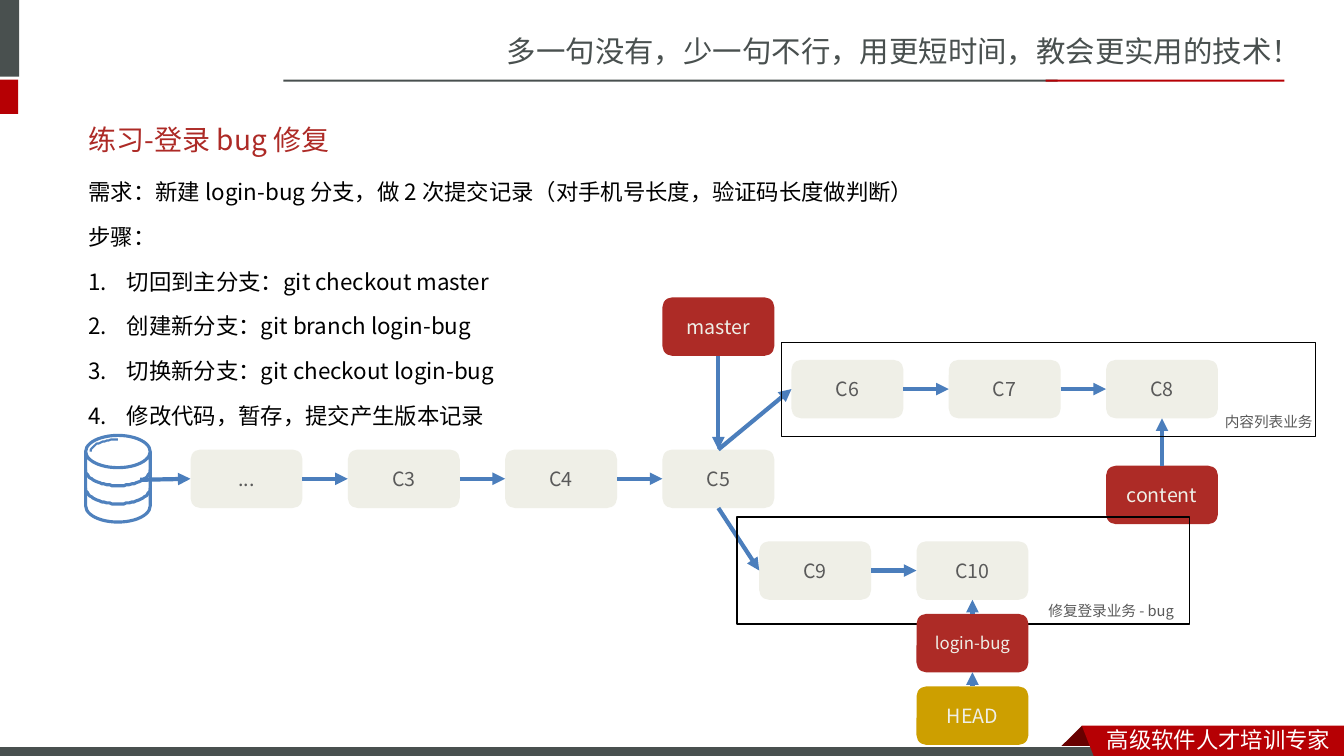
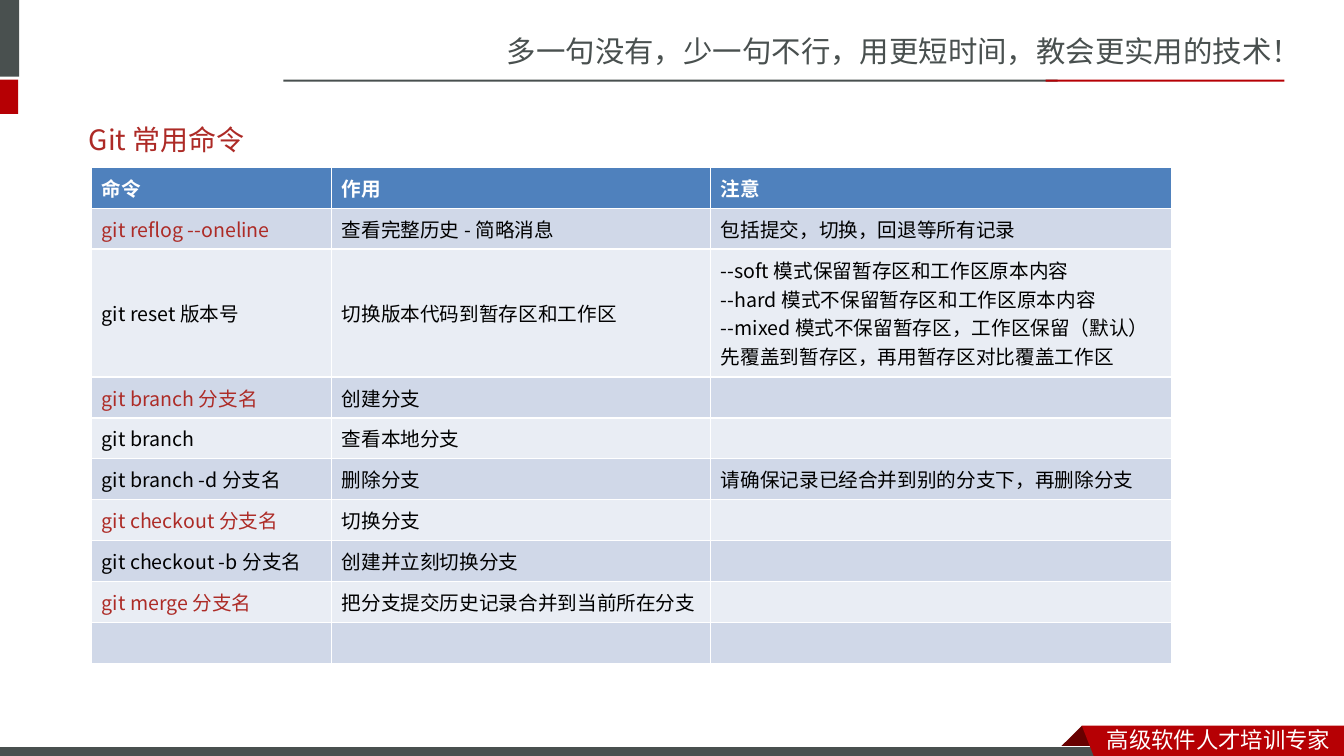
import math

from lxml import etree
from pptx import Presentation
from pptx.dml.color import RGBColor
from pptx.enum.lang import MSO_LANGUAGE_ID
from pptx.enum.shapes import MSO_CONNECTOR, MSO_SHAPE
from pptx.enum.text import MSO_ANCHOR, MSO_AUTO_SIZE, PP_ALIGN
from pptx.oxml.ns import qn
from pptx.util import Pt

PX = 9144
SLIDE_SIZE = (1333, 750)
TITLE_ONLY = 5
LEFT, CENTER = PP_ALIGN.LEFT, PP_ALIGN.CENTER
TOP_ANCHOR, MIDDLE = MSO_ANCHOR.TOP, MSO_ANCHOR.MIDDLE
RECTANGLE, ROUNDED, CAN = MSO_SHAPE.RECTANGLE, MSO_SHAPE.ROUNDED_RECTANGLE, MSO_SHAPE.CAN
STRAIGHT = MSO_CONNECTOR.STRAIGHT
CHINESE = MSO_LANGUAGE_ID.SIMPLIFIED_CHINESE
TOP, LEFT_SIDE, BOTTOM, RIGHT_SIDE = range(4)
BRAND_FONT = "Noto Sans CJK SC"
CONTENT_FONT = "Noto Sans CJK JP"

COLORS = {
    "charcoal": "49504F", "brand": "B60004", "fold": "680000", "title": "AD2A26",
    "red": "AD2B26", "gold": "CD9F00", "node": "EFEFE7", "label": "595959",
    "blue": "4F81BD", "arrow": "4B7EBC", "black": "000000", "white": "FFFFFF",
    "band_dark": "D0D8E8", "band_light": "E9EDF4",
}

NODE_SIZE = (111, 58)
NODE_PITCH = 156
COMMIT_ROWS = [
    (189, 446, ["...", "C3", "C4", "C5"]),
    (785, 357, ["C6", "C7", "C8"]),
    (753, 537, ["C9", "C10"]),
]
POINTERS = [
    ("master", 657, 295, "red"),
    ("HEAD", 909, 681, "gold"),
    ("content", 1097, 462, "red"),
]
BRANCH_LINKS = [
    ("content", TOP, "C8", BOTTOM),
    ("master", BOTTOM, "C5", TOP),
    ("C5", TOP, "C6", LEFT_SIDE),
    ("C5", BOTTOM, "C9", LEFT_SIDE),
]
FRAMES = [
    ((775, 340, 530, 93), "内容列表业务", (1205, 405, 111, 28)),
    ((731, 513, 449, 106), "修复登录业务 - bug", (1030, 592, 155, 28)),
]
REQUIREMENTS = [
    "需求：新建 login-bug 分支，做 2 次提交记录（对手机号长度，验证码长度做判断）",
    "步骤：",
]
STEPS = [
    "切回到主分支：git checkout master",
    "创建新分支：git branch login-bug",
    "切换新分支：git checkout login-bug",
    "修改代码，暂存，提交产生版本记录",
]
RESET_NOTES = "\n".join([
    "--soft 模式保留暂存区和工作区原本内容",
    "--hard 模式不保留暂存区和工作区原本内容",
    "--mixed 模式不保留暂存区，工作区保留（默认）",
    "先覆盖到暂存区，再用暂存区对比覆盖工作区",
])
COMMANDS = [
    ("命令", "作用", "注意"),
    ("git reflog --oneline", "查看完整历史 - 简略消息", "包括提交，切换，回退等所有记录"),
    ("git reset 版本号", "切换版本代码到暂存区和工作区", RESET_NOTES),
    ("git branch 分支名", "创建分支", ""),
    ("git branch", "查看本地分支", ""),
    ("git branch -d 分支名", "删除分支", "请确保记录已经合并到别的分支下，再删除分支"),
    ("git checkout 分支名", "切换分支", ""),
    ("git checkout -b 分支名", "创建并立刻切换分支", ""),
    ("git merge 分支名", "把分支提交历史记录合并到当前所在分支", ""),
    ("", "", ""),
]
KEY_ROWS = {1, 3, 6, 8}
RESET_ROW = 2


def px(*values):
    return [value * PX for value in values]


def color(name):
    return RGBColor.from_string(COLORS[name])


def write(frame, text, size, ink, font=CONTENT_FONT, bold=False, align=LEFT,
          anchor=TOP_ANCHOR, line_spacing=None):
    frame.word_wrap = True
    frame.vertical_anchor = anchor
    frame.text = text
    for paragraph in frame.paragraphs:
        paragraph.alignment = align
        if line_spacing:
            paragraph.line_spacing = Pt(line_spacing)
        for run in paragraph.runs:
            run.font.name = font
            run.font.size = Pt(size)
            run.font.bold = bold
            run.font.color.rgb = color(ink)
            run.font.language_id = CHINESE
            east_asian = etree.Element(qn("a:ea"), typeface=font)
            run.font._element.find(qn("a:latin")).addnext(east_asian)


def add_text(slide, box, text, size, ink, **text_format):
    shape = slide.shapes.add_textbox(*px(*box))
    write(shape.text_frame, text, size, ink, **text_format)
    return shape


def paint(shape, fill=None, line=None, width=1):
    shape.shadow.inherit = False
    if fill:
        shape.fill.solid()
        shape.fill.fore_color.rgb = color(fill)
    else:
        shape.fill.background()
    if line:
        shape.line.color.rgb = color(line)
        shape.line.width = Pt(width)
    else:
        shape.line.fill.background()


def add_box(slide, kind, box, **style):
    shape = slide.shapes.add_shape(kind, *px(*box))
    paint(shape, **style)
    return shape


def add_outline(slide, points, close=True, **style):
    builder = slide.shapes.build_freeform(*points[0], scale=PX)
    builder.add_line_segments(points[1:], close=close)
    paint(builder.convert_to_shape(), **style)


def add_arrow(slide, start, end):
    arrow = slide.shapes.add_connector(STRAIGHT, *px(*start, *end))
    arrow.line.color.rgb = color("arrow")
    arrow.line.width = Pt(3)
    etree.SubElement(arrow.line._get_or_add_ln(), qn("a:tailEnd"), type="triangle")
    etree.SubElement(arrow._element.spPr, qn("a:effectLst"))
    return arrow


def link(slide, start, start_side, end, end_side):
    arrow = add_arrow(slide, (0, 0), (0, 0))
    arrow.begin_connect(start, start_side)
    arrow.end_connect(end, end_side)


def add_node(slide, text, left, top, fill="node", ink="node", size=14):
    node = add_box(slide, ROUNDED, (left, top, *NODE_SIZE), fill=fill)
    write(node.text_frame, text, size, ink, align=CENTER, anchor=MIDDLE)
    return node


def add_page(presentation, title):
    slide = presentation.slides.add_slide(presentation.slide_layouts[TITLE_ONLY])
    heading = slide.shapes.title
    heading.left, heading.top, heading.width, heading.height = px(78, 110, 1172, 57)
    heading.text_frame.auto_size = MSO_AUTO_SIZE.NONE
    write(heading.text_frame, title, 20, "title", anchor=MIDDLE)

    add_text(slide, (493, 28, 840, 47), "多一句没有，少一句不行，用更短时间，教会更实用的技术！",
             21, "charcoal", font=BRAND_FONT)
    for box, fill in [
        ((0, 0, 19, 76), "charcoal"), ((0, 79, 18, 34), "brand"),
        ((281, 79, 768, 2), "charcoal"), ((1037, 79, 237, 2), "brand"),
    ]:
        add_box(slide, RECTANGLE, box, fill=fill)
    add_outline(slide, [(1073, 720), (1095, 742), (1094, 743), (1052, 743), (1051, 742)],
                fill="fold")
    add_box(slide, RECTANGLE, (-1, 741, 1100, 12), fill="charcoal", line="white", width=0.75)
    add_outline(slide, [(1073, 720), (1333, 720), (1333, 754), (1086, 753)], fill="brand")
    add_text(slide, (1088, 715, 245, 37), "高级软件人才培训专家", 16, "white", font=BRAND_FONT)
    return slide


def arc(center_x, center_y, radius_x, radius_y, start, end):
    angles = [math.radians(angle) for angle in range(start, end + 1, 5)]
    return [(round(center_x + radius_x * math.cos(angle), 2),
             round(center_y + radius_y * math.sin(angle), 2)) for angle in angles]


def add_database(slide):
    center, lid, radius_x, radius_y = 117, 448, 32, 16
    cylinder = add_box(slide, CAN, (center - radius_x, lid - radius_y, 2 * radius_x, 86),
                       line="blue", width=2.25)
    cylinder.adjustments[0] = radius_y / radius_x
    for ring in (1, 2):
        add_outline(slide, arc(center, lid + 18 * ring, radius_x, radius_y, 0, 180),
                    close=False, line="blue", width=2.25)
    add_outline(slide, arc(center, lid, 27, 12, 180, 270), close=False, line="blue", width=1.5)


def add_instructions(slide):
    shape = add_text(slide, (78, 154, 1172, 290), "\n".join(REQUIREMENTS + STEPS),
                     16, "black", line_spacing=32)
    for paragraph in shape.text_frame.paragraphs[len(REQUIREMENTS):]:
        properties = paragraph._p.get_or_add_pPr()
        properties.set("marL", str(38 * PX))
        properties.set("indent", str(-38 * PX))
        etree.SubElement(properties, qn("a:buAutoNum"), type="arabicPeriod")


def add_branch_diagram(slide):
    add_database(slide)
    add_arrow(slide, (139, 476), (189, 475))
    nodes = {}
    for left, top, names in COMMIT_ROWS:
        for index, name in enumerate(names):
            nodes[name] = add_node(slide, name, left + index * NODE_PITCH, top, ink="label")
        for before, after in zip(names, names[1:]):
            link(slide, nodes[before], RIGHT_SIDE, nodes[after], LEFT_SIDE)
    for name, left, top, fill in POINTERS:
        nodes[name] = add_node(slide, name, left, top, fill=fill)
    for start, start_side, end, end_side in BRANCH_LINKS:
        link(slide, nodes[start], start_side, nodes[end], end_side)
    for box, caption, caption_box in FRAMES:
        add_box(slide, RECTANGLE, box, line="black")
        add_text(slide, caption_box, caption, 10.5, "label")
    login_bug = add_node(slide, "login-bug", 909, 609, fill="red", size=12)
    link(slide, nodes["HEAD"], TOP, login_bug, BOTTOM)
    link(slide, login_bug, TOP, nodes["C10"], BOTTOM)


def add_command_table(slide):
    widths = px(238, 376, 457)
    height, reset_height = px(492, 127)
    table = slide.shapes.add_table(len(COMMANDS), len(widths), *px(91, 166),
                                   sum(widths), height).table
    for column, width in zip(table.columns, widths):
        column.width = width
    for row_index, texts in enumerate(COMMANDS):
        header = row_index == 0
        row = table.rows[row_index]
        row.height = (height - reset_height) // (len(COMMANDS) - 1)
        if row_index == RESET_ROW:
            row.height = reset_height
        band = "blue" if header else "band_dark" if row_index % 2 else "band_light"
        for column_index, text in enumerate(texts):
            cell = table.cell(row_index, column_index)
            cell.fill.solid()
            cell.fill.fore_color.rgb = color(band)
            cell.vertical_anchor = MIDDLE
            key = row_index in KEY_ROWS and column_index == 0
            ink = "white" if header else "red" if key else "black"
            write(cell.text_frame, text, 14, ink, bold=header, anchor=None)


def main():
    presentation = Presentation()
    presentation.slide_width, presentation.slide_height = px(*SLIDE_SIZE)
    practice = add_page(presentation, "练习-登录 bug 修复")
    add_instructions(practice)
    add_branch_diagram(practice)
    add_command_table(add_page(presentation, "Git 常用命令"))
    presentation.save("out.pptx")


if __name__ == "__main__":
    main()
